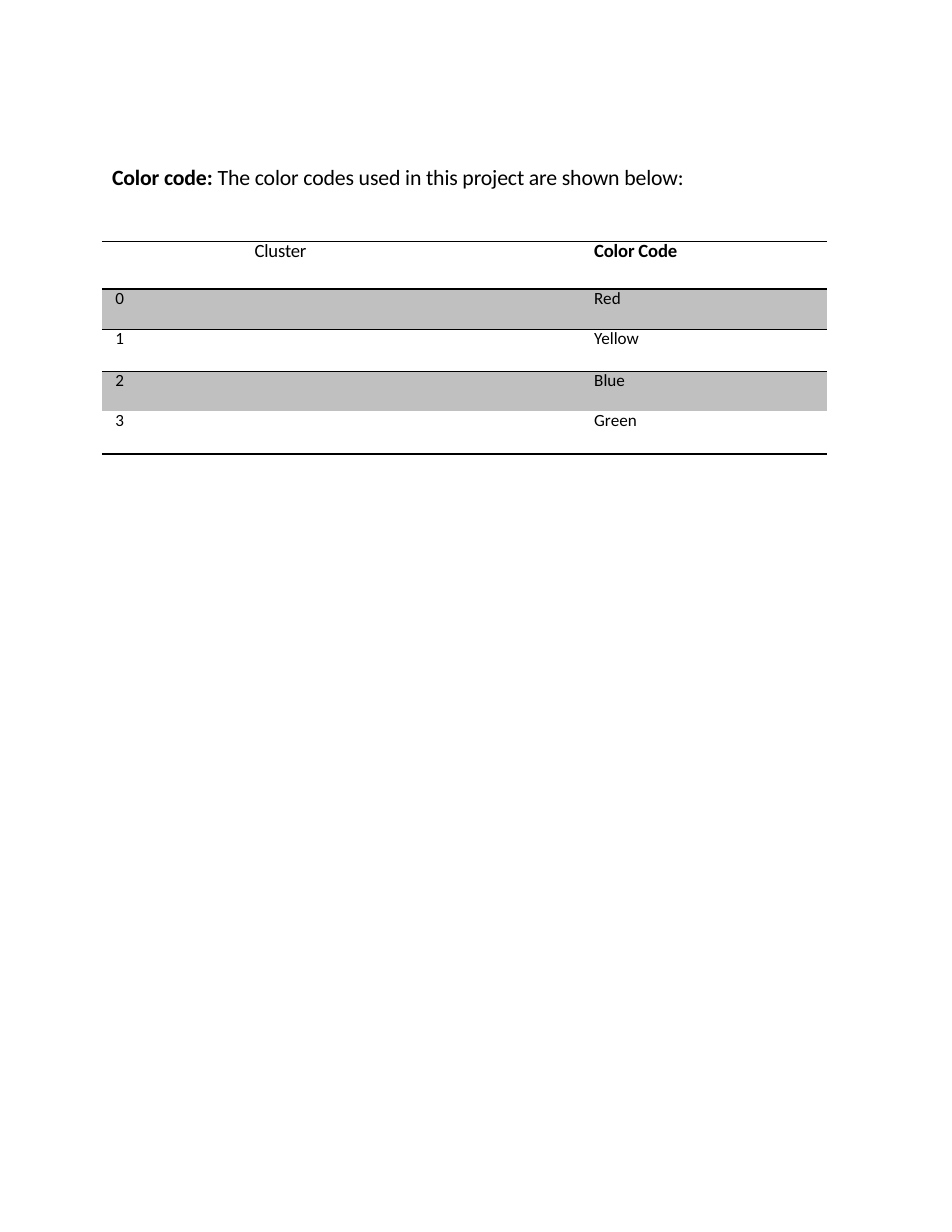
from dataclasses import dataclass

from lxml.etree import SubElement as Sub
from pptx import Presentation
from pptx.dml.color import RGBColor as Rgb
from pptx.enum.text import MSO_ANCHOR as Anchor, MSO_AUTO_SIZE as Fit, PP_ALIGN as Align
from pptx.oxml.ns import qn
from pptx.util import Pt


@dataclass(frozen=True)
class Theme:
    """Hold the font, colours and type sizes."""
    font: str = "Calibri"
    ink: str = "000000"
    band: str = "C0C0C0"
    title: float = 14
    head: float = 12
    body: float = 11


THEME = Theme()
PLAIN = "{2D5ABB26-0587-4C30-8999-92F81FD0307C}"
ROWS = [("Cluster", "Color Code"), ("0", "Red"), ("1", "Yellow"),
        ("2", "Blue"), ("3", "Green")]
COLS = (224, 242)
HIGHS = (30.9, 25.8, 27, 25.6, 27.6)
RULES = {0: {"T": 0.75, "B": 1.25}, 1: {"T": 1.25, "B": 0.5},
         2: {"T": 0.5}, 4: {"B": 1.25}}


def style(run, size, bold=False, track=0):
    """Set the type of one run."""
    font = run.font
    font.name, font.size, font.bold = THEME.font, Pt(size), bold
    font.color.rgb = Rgb.from_string(THEME.ink)
    if track:
        run._r.get_or_add_rPr().set("spc", str(track))


def rule(cell, side, width):
    """Draw one border of a cell."""
    line = Sub(cell._tc.get_or_add_tcPr(), qn(f"a:ln{side}"), w=str(Pt(width)))
    fill = Sub(line, qn("a:solidFill"))
    Sub(fill, qn("a:srgbClr"), val=THEME.ink)


def add_title(slide, left, top, width, height):
    """Place the opening sentence in the title."""
    shape = slide.shapes.title
    shape.left, shape.top, shape.width, shape.height = map(Pt, (left, top, width, height))
    frame = shape.text_frame
    frame.margin_left = frame.margin_right = frame.margin_bottom = 0
    frame.margin_top = Pt(0.9)
    frame.vertical_anchor, frame.auto_size = Anchor.TOP, Fit.NONE
    frame.word_wrap = True
    para = frame.paragraphs[0]
    para.alignment, para.space_before = Align.LEFT, Pt(0.9)
    for text, bold in (("Color code: ", True),
                       ("The color codes used in this project are shown below:", False)):
        run = para.add_run()
        run.text = text
        style(run, THEME.title, bold, -10)


def fill_cell(cell, text, row, col):
    """Write and format one cell of the table."""
    head = row == 0
    cell.margin_right = cell.margin_top = cell.margin_bottom = 0
    cell.margin_left = Pt(92.5 if col else 5.8 if head else 8.6)
    for side, width in RULES.get(row, {}).items():
        rule(cell, side, width)
    if row % 2:
        cell.fill.solid()
        cell.fill.fore_color.rgb = Rgb.from_string(THEME.band)
    else:
        cell.fill.background()
    para = cell.text_frame.paragraphs[0]
    para.text = text
    para.alignment = Align.CENTER if head and not col else Align.LEFT
    para.line_spacing = Pt(13.5 if head else 12.9)
    style(para.runs[0], THEME.head if head else THEME.body,
          head and col == 1, -10 if head else 0)


def add_codes(slide, left, top, width, height):
    """Place the table of clusters and colours."""
    frame = slide.shapes.add_table(len(ROWS), len(COLS), *map(Pt, (left, top, width, height)))
    table = frame.table
    table.first_row = table.horz_banding = False
    table._tbl.tblPr.find(qn("a:tableStyleId")).text = PLAIN
    for col, size in zip(table.columns, COLS):
        col.width = Pt(size)
    for row, size in zip(table.rows, HIGHS):
        row.height = Pt(size)
    for row, words in enumerate(ROWS):
        for col, text in enumerate(words):
            fill_cell(table.cell(row, col), text, row, col)


def main():
    """Build and save the slide."""
    deck = Presentation()
    deck.slide_width, deck.slide_height = Pt(612), Pt(792)
    slide = deck.slides.add_slide(deck.slide_layouts[5])
    add_title(slide, 72, 104.4, 376, 18.7)
    add_codes(slide, 65.5, 155, sum(COLS), sum(HIGHS))
    deck.save("out.pptx")


if __name__ == "__main__":
    main()
